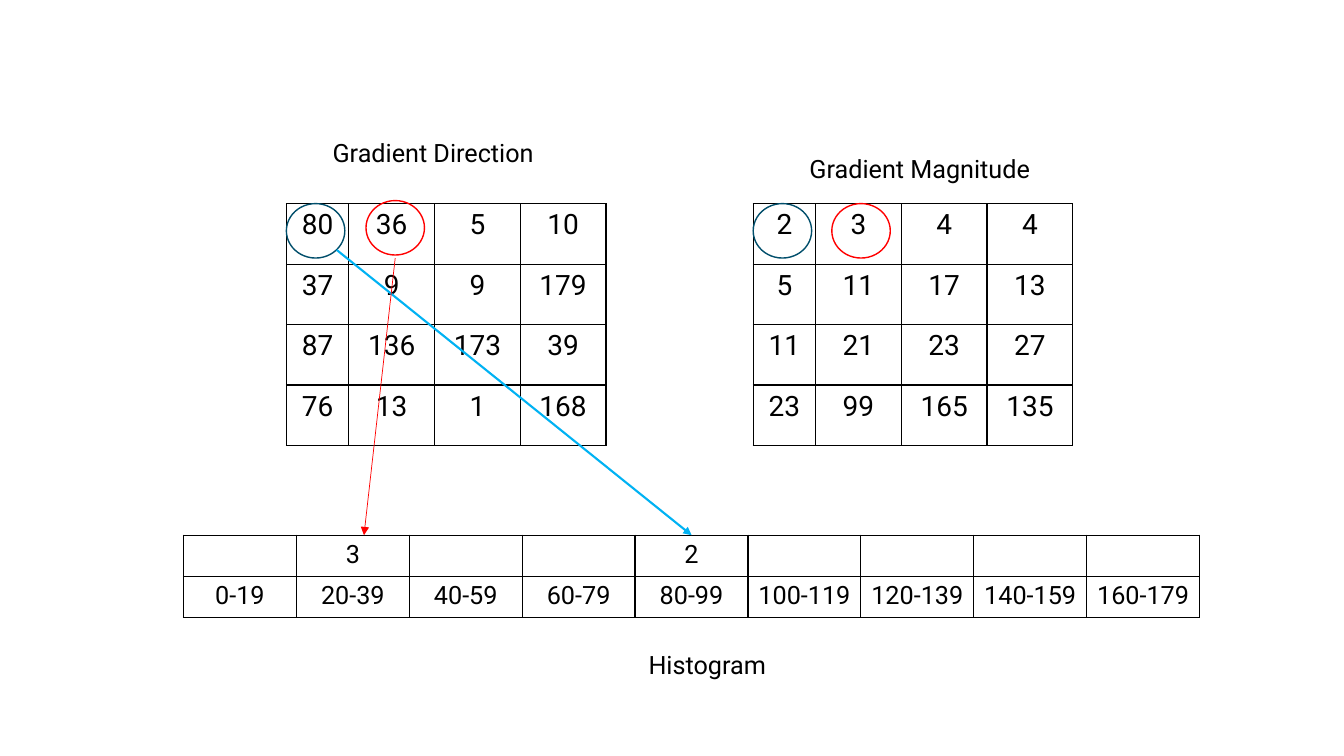
from lxml import etree
from pptx import Presentation
from pptx.dml.color import RGBColor
from pptx.enum.shapes import MSO_CONNECTOR, MSO_SHAPE
from pptx.enum.text import MSO_AUTO_SIZE, PP_ALIGN
from pptx.oxml.ns import qn
from pptx.util import Emu, Pt

EMU_PER_PX = 9144
FONT = "Roboto"
COLORS = {
    "black": "000000",
    "navy": "004E6B",
    "sky": "00B2F3",
    "red": "FF0000",
}
LEFT = PP_ALIGN.LEFT
CENTER = PP_ALIGN.CENTER
OVAL = MSO_SHAPE.OVAL
STRAIGHT = MSO_CONNECTOR.STRAIGHT
FIT_SHAPE = MSO_AUTO_SIZE.SHAPE_TO_FIT_TEXT

GRID_COLUMNS = [62, 85, 85, 85]
GRID_ROWS = [60] * 4
DIRECTIONS = [
    [80, 36, 5, 10],
    [37, 9, 9, 179],
    [87, 136, 173, 39],
    [76, 13, 1, 168],
]
MAGNITUDES = [
    [2, 3, 4, 4],
    [5, 11, 17, 13],
    [11, 21, 23, 27],
    [23, 99, 165, 135],
]
BIN_WIDTH = 20
BIN_STARTS = range(0, 180, BIN_WIDTH)
VOTES = {20: 3, 80: 2}


def px(length):
    return Emu(length * EMU_PER_PX)


def rgb(name):
    return RGBColor.from_string(COLORS[name])


def style_paragraph(paragraph, size, alignment):
    paragraph.alignment = alignment
    for run in paragraph.runs:
        run.font.name = FONT
        run.font.size = Pt(size)
        run.font.color.rgb = rgb("black")


def style_line(line, color, width):
    line.color.rgb = rgb(color)
    line.width = Pt(width)


def add_borders(cell):
    properties = cell._tc.get_or_add_tcPr()
    for side in ("a:lnL", "a:lnR", "a:lnT", "a:lnB"):
        border = etree.SubElement(properties, qn(side), w=str(Pt(1)))
        fill = etree.SubElement(border, qn("a:solidFill"))
        etree.SubElement(fill, qn("a:srgbClr"), val=COLORS["black"])


def add_grid(slide, left, top, columns, rows, values, size):
    frame = slide.shapes.add_table(
        len(rows), len(columns), px(left), px(top), px(sum(columns)), px(sum(rows))
    )
    table = frame.table
    table.first_row = False
    table.horz_banding = False
    for column, width in zip(table.columns, columns):
        column.width = px(width)
    for row, height, row_values in zip(table.rows, rows, values):
        row.height = px(height)
        for cell, value in zip(row.cells, row_values):
            cell.text_frame.text = str(value)
            cell.margin_left = cell.margin_right = px(5)
            style_paragraph(cell.text_frame.paragraphs[0], size, CENTER)
            add_borders(cell)
            cell.fill.background()


def add_ring(slide, left, top, color):
    shape = slide.shapes.add_shape(OVAL, px(left), px(top), px(58), px(54))
    shape.shadow.inherit = False
    shape.fill.background()
    style_line(shape.line, color, 1)


def add_arrow(slide, start, end, color, width):
    points = [px(length) for length in (*start, *end)]
    connector = slide.shapes.add_connector(STRAIGHT, *points)
    style_line(connector.line, color, width)
    properties = connector._element.spPr
    etree.SubElement(properties.find(qn("a:ln")), qn("a:tailEnd"), type="triangle")
    etree.SubElement(properties, qn("a:effectLst"))


def add_label(slide, left, top, width, text, alignment):
    box = slide.shapes.add_textbox(px(left), px(top), px(width), px(40))
    text_frame = box.text_frame
    text_frame.word_wrap = True
    text_frame.auto_size = FIT_SHAPE
    text_frame.text = text
    style_paragraph(text_frame.paragraphs[0], 18, alignment)


def main():
    presentation = Presentation()
    presentation.slide_width = px(1333)
    presentation.slide_height = px(750)
    slide = presentation.slides.add_slide(presentation.slide_layouts[6])

    add_grid(slide, 284, 202, GRID_COLUMNS, GRID_ROWS, DIRECTIONS, 20)
    add_grid(slide, 747, 202, GRID_COLUMNS, GRID_ROWS, MAGNITUDES, 20)
    histogram = [
        [VOTES.get(start, "") for start in BIN_STARTS],
        [f"{start}-{start + BIN_WIDTH - 1}" for start in BIN_STARTS],
    ]
    add_grid(slide, 182, 531, [112] * len(BIN_STARTS), [41] * 2, histogram, 18)

    add_ring(slide, 747, 202, "navy")
    add_ring(slide, 284, 202, "navy")
    add_arrow(slide, (334, 248), (686, 531), "sky", 1.5)
    add_ring(slide, 825, 202, "red")
    add_ring(slide, 363, 199, "red")
    add_arrow(slide, (392, 256), (361, 531), "red", 0.5)

    add_label(slide, 320, 131, 245, "Gradient Direction", LEFT)
    add_label(slide, 566, 639, 271, "Histogram", CENTER)
    add_label(slide, 793, 147, 271, "Gradient Magnitude", LEFT)

    presentation.save("out.pptx")


if __name__ == "__main__":
    main()
